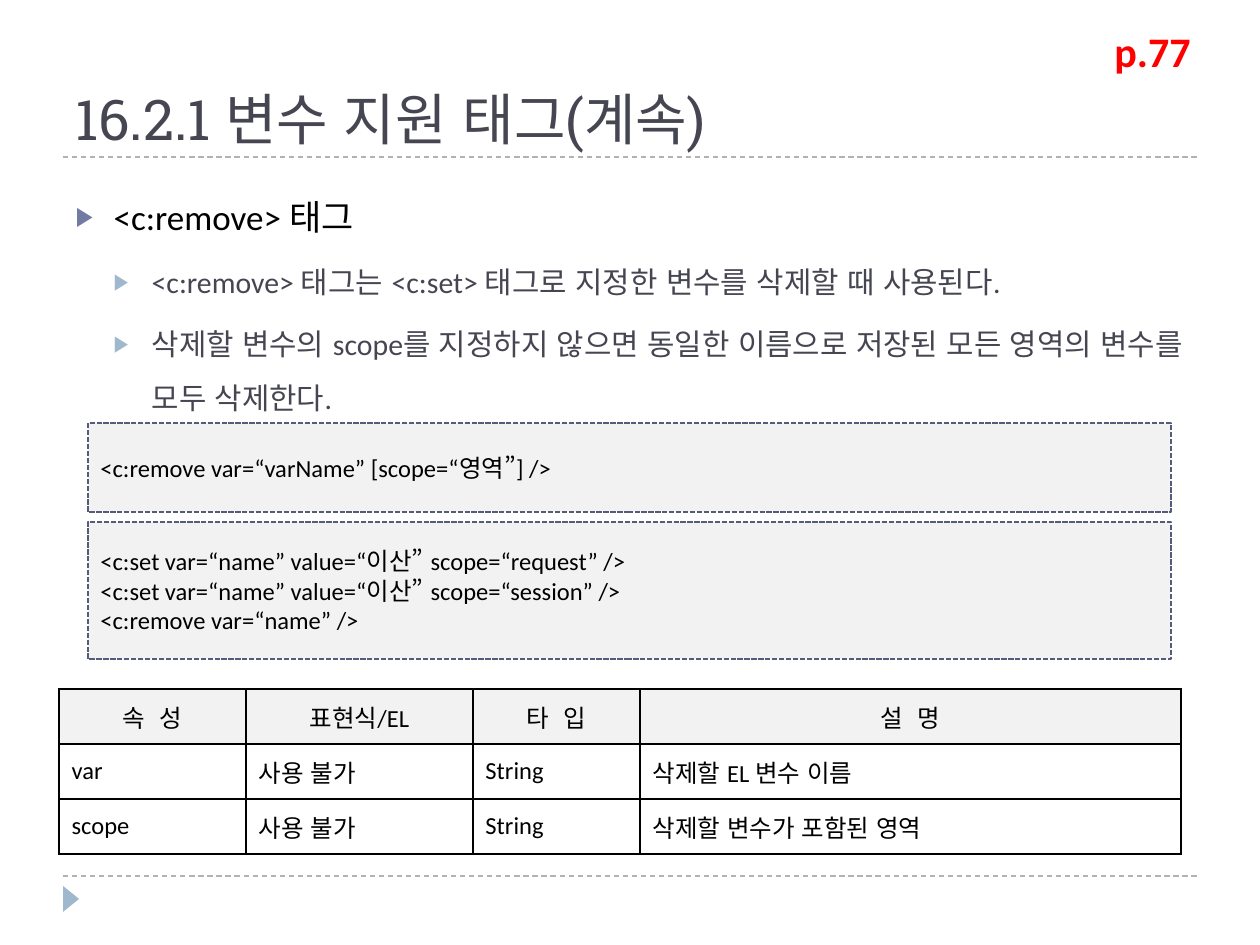
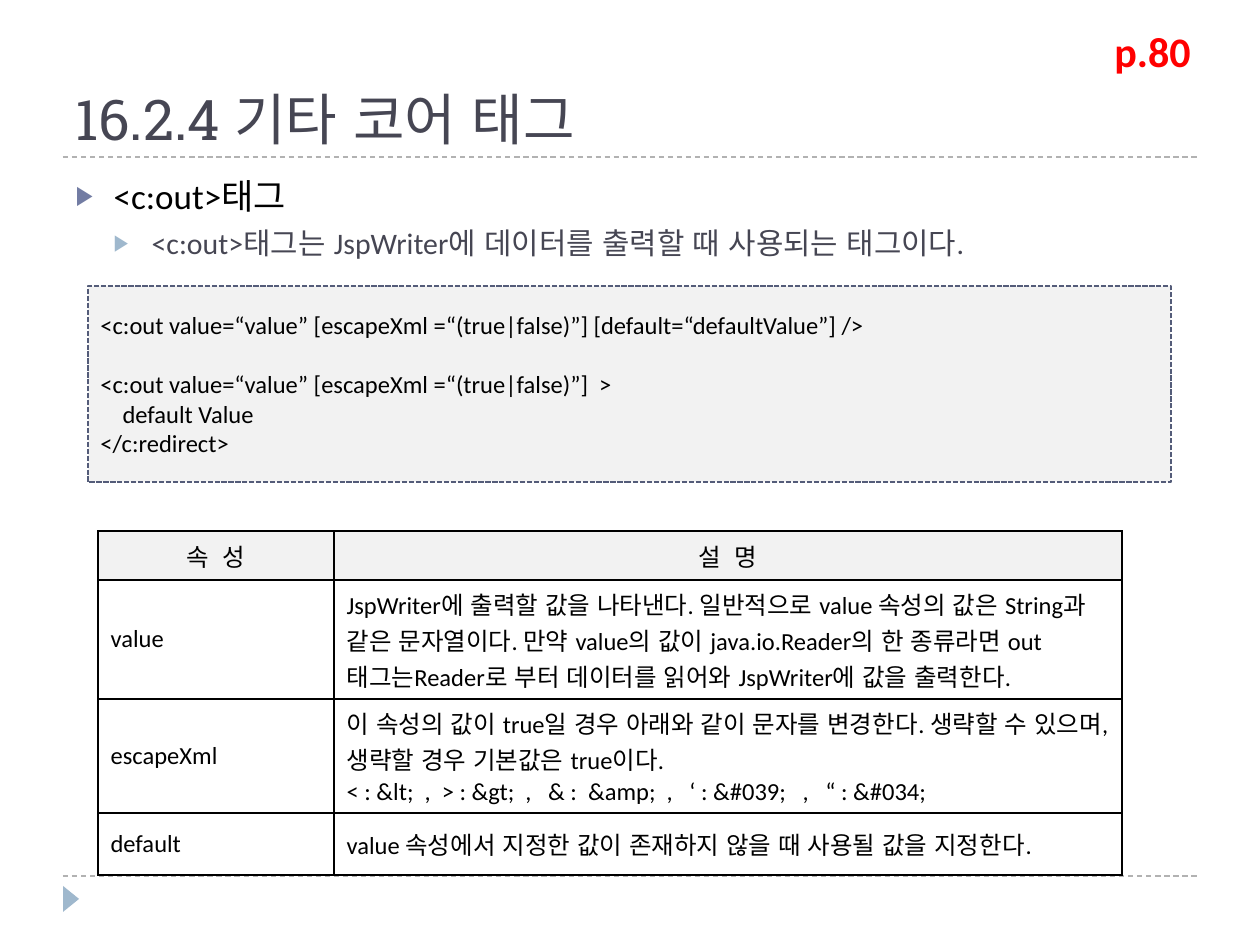
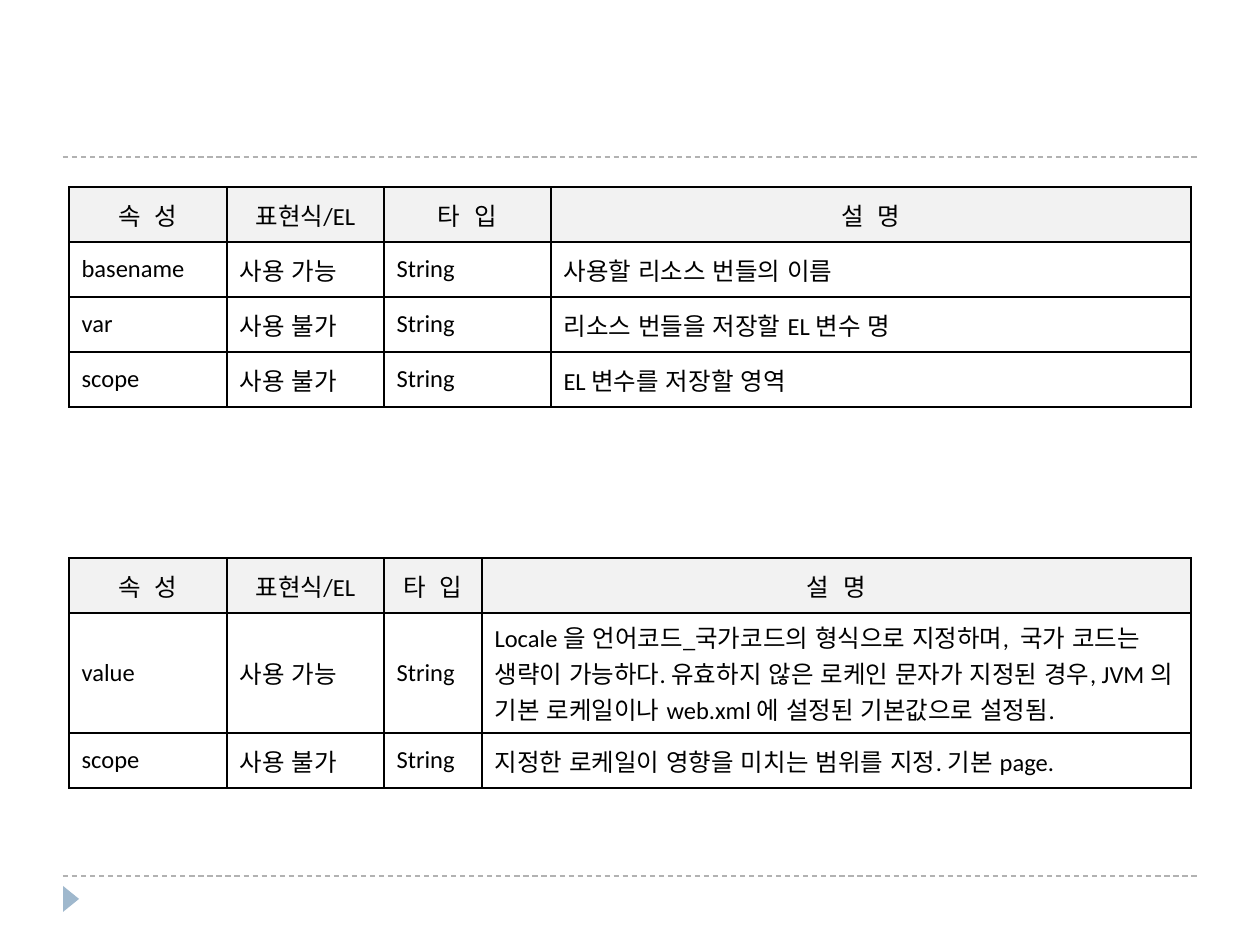
from dataclasses import dataclass

from lxml import etree
from pptx import Presentation
from pptx.dml.color import RGBColor
from pptx.enum.dml import MSO_LINE
from pptx.enum.lang import MSO_LANGUAGE_ID
from pptx.enum.shapes import MSO_CONNECTOR, MSO_SHAPE
from pptx.enum.text import MSO_ANCHOR, MSO_AUTO_SIZE, PP_ALIGN
from pptx.oxml.ns import qn
from pptx.util import Emu, Pt

LEFT, CENTER = PP_ALIGN.LEFT, PP_ALIGN.CENTER
MIDDLE, BOTTOM = MSO_ANCHOR.MIDDLE, MSO_ANCHOR.BOTTOM
DASH, SYS_DASH = MSO_LINE.DASH, MSO_LINE.SQUARE_DOT
RECT, TRIANGLE = MSO_SHAPE.RECTANGLE, MSO_SHAPE.ISOSCELES_TRIANGLE
STRAIGHT = MSO_CONNECTOR.STRAIGHT
NO_FIT, GROW = MSO_AUTO_SIZE.NONE, MSO_AUTO_SIZE.SHAPE_TO_FIT_TEXT
KOREAN = MSO_LANGUAGE_ID.KOREAN
CONTENT_LAYOUT, BLANK_LAYOUT = 1, 6
PX = 914400 // 126


@dataclass(frozen=True)
class Theme:
    font: str = "Calibri"
    title_font: str = "Roboto Slab"
    ink: str = "000000"
    muted: str = "464653"
    accent: str = "9FB8CD"
    rule: str = "B2B2B2"
    bullet: str = "727CA3"
    panel: str = "F2F2F2"
    panel_line: str = "545C79"
    page_ref: str = "FF0000"
    title_size: int = 32
    page_size: int = 24
    small_size: int = 14
    code_gap: int = 17
    bullet_percent: int = 76


T = Theme()
LEVELS = [
    dict(size=20, color=T.ink, before=6, bullet=T.bullet),
    dict(size=17, color=T.muted, before=5, bullet=T.accent),
]
TITLE_BOX = (63, 22, 1134, 136)
BODY_BOX = (63, 168, 1134, 680)
PAGE_BOX = (1102, 19, 108, 63)
MARKER_BOX = (58, 891, 26, 16)
RULE_X, RULES_Y = (63, 1197), (157, 876)
CODE_X, CODE_WIDTH = 88, 1083
ROW = 55

HEADER = ["속  성", "표현식/EL", "타  입", "설  명"]

SLIDES = [
    dict(
        title="16.2.1 변수 지원 태그(계속)",
        page="p.77",
        line_spacing=1.5,
        body=[
            (0, "<c:remove> 태그"),
            (1, "<c:remove> 태그는 <c:set> 태그로 지정한 변수를 삭제할 때 사용된다."),
            (1, "삭제할 변수의 scope를 지정하지 않으면 동일한 이름으로 저장된 모든 영역의 변수를 모두 삭제한다."),
        ],
        code=[
            (423, 89, [["<c:remove var=“varName” [scope=“영역”] />"]]),
            (522, 137, [[
                "<c:set var=“name” value=“이산” scope=“request” />",
                "<c:set var=“name” value=“이산” scope=“session” />",
                "<c:remove var=“name” />",
            ]]),
        ],
        tables=[dict(
            at=(59, 689), cols=[187, 227, 167, 541], rows=[ROW] * 3,
            cells=[
                HEADER,
                ["var", "사용 불가", "String", "삭제할 EL 변수 이름"],
                ["scope", "사용 불가", "String", "삭제할 변수가 포함된 영역"],
            ],
        )],
    ),
    dict(
        title="16.2.4 기타 코어 태그",
        page="p.80",
        line_spacing=1.0,
        body=[
            (0, "<c:out>태그"),
            (1, "<c:out>태그는 JspWriter에 데이터를 출력할 때 사용되는 태그이다."),
        ],
        code=[(286, 196, [
            ["<c:out value=“value” [escapeXml =“(true|false)”] [default=“defaultValue”] />"],
            [
                "<c:out value=“value” [escapeXml =“(true|false)”]  >",
                "    default Value",
                "</c:redirect>",
            ],
        ])],
        tables=[dict(
            at=(98, 531), cols=[236, 788], rows=[49, 119, 114, 62],
            cells=[
                [HEADER[0], HEADER[-1]],
                ["value",
                 "JspWriter에 출력할 값을 나타낸다. 일반적으로 value 속성의 값은 String과 같은 문자열이다. "
                 "만약 value의 값이 java.io.Reader의 한 종류라면 out 태그는Reader로 부터 데이터를 읽어와 "
                 "JspWriter에 값을 출력한다."],
                ["escapeXml",
                 "이 속성의 값이 true일 경우 아래와 같이 문자를 변경한다. 생략할 수 있으며, "
                 "생략할 경우 기본값은 true이다.\n"
                 "< : &lt;  ,  > : &gt;  ,   & :  &amp;  ,   ‘ : &#039;   ,   “ : &#034;"],
                ["default", "value 속성에서 지정한 값이 존재하지 않을 때 사용될 값을 지정한다."],
            ],
        )],
    ),
    dict(
        tables=[
            dict(
                at=(69, 187), cols=[158, 157, 167, 640], rows=[ROW] * 4,
                cells=[
                    HEADER,
                    ["basename", "사용 가능", "String", "사용할 리소스 번들의 이름"],
                    ["var", "사용 불가", "String", "리소스 번들을 저장할 EL 변수 명"],
                    ["scope", "사용 불가", "String", "EL 변수를 저장할 영역"],
                ],
            ),
            dict(
                at=(69, 558), cols=[158, 157, 98, 709], rows=[ROW, 120, ROW],
                cells=[
                    HEADER,
                    ["value", "사용 가능", "String",
                     "Locale 을 언어코드_국가코드의 형식으로 지정하며,  국가 코드는 생략이 가능하다. "
                     "유효하지 않은 로케인 문자가 지정된 경우, JVM 의 기본 로케일이나 web.xml 에 "
                     "설정된 기본값으로 설정됨."],
                    ["scope", "사용 불가", "String",
                     "지정한 로케일이 영향을 미치는 범위를 지정. 기본 page."],
                ],
            ),
        ],
    ),
]


def px(*values):
    return [Emu(v * PX) for v in values]


def rgb(color):
    return RGBColor.from_string(color)


def place(sp, box):
    sp.left, sp.top, sp.width, sp.height = px(*box)


def add_bullet(p, level, color):
    pPr = p._p.get_or_add_pPr()
    step = 38 * PX
    pPr.set("marL", str((level + 1) * step))
    pPr.set("indent", str(-step))
    clr = etree.SubElement(pPr, qn("a:buClr"))
    etree.SubElement(clr, qn("a:srgbClr"), val=color)
    etree.SubElement(pPr, qn("a:buSzPct"), val=str(T.bullet_percent * 1000))
    etree.SubElement(pPr, qn("a:buFont"), typeface=T.font)
    etree.SubElement(pPr, qn("a:buChar"), char="▶")


def write(tf, text, first=True, size=T.small_size, color=T.ink, font=T.font, bold=False,
          align=LEFT, before=0, spacing=1.0, level=0, bullet=None):
    p = tf.paragraphs[0] if first else tf.add_paragraph()
    p.level = level
    if bullet:
        add_bullet(p, level, bullet)
    p.alignment = align
    p.space_before = Pt(0 if first else before)
    p.line_spacing = spacing
    r = p.add_run()
    r.text = text
    r.font.name, r.font.size, r.font.bold = font, Pt(size), bold
    r.font.language_id = KOREAN
    r.font.color.rgb = rgb(color)


def set_line(line, color, width, dash):
    line.color.rgb = rgb(color)
    line.width = Pt(width)
    line.dash_style = dash


def draw_frame(s):
    for y in RULES_Y:
        x1, x2 = RULE_X
        rule = s.shapes.add_connector(STRAIGHT, *px(x1, y, x2, y))
        set_line(rule.line, T.rule, 0.75, DASH)
        etree.SubElement(rule._element.spPr, qn("a:effectLst"))
    marker = s.shapes.add_shape(TRIANGLE, *px(*MARKER_BOX))
    marker.rotation = 90
    marker.shadow.inherit = False
    marker.fill.solid()
    marker.fill.fore_color.rgb = rgb(T.accent)
    marker.line.fill.background()


def draw_title(s, text):
    sp = s.shapes.title
    place(sp, TITLE_BOX)
    tf = sp.text_frame
    tf.auto_size, tf.vertical_anchor = NO_FIT, BOTTOM
    write(tf, text, size=T.title_size, color=T.muted, font=T.title_font)


def draw_body(s, items, spacing):
    sp = s.placeholders[1]
    place(sp, BODY_BOX)
    tf = sp.text_frame
    tf.auto_size = NO_FIT
    for i, (level, text) in enumerate(items):
        write(tf, text, first=i == 0, level=level, spacing=spacing, **LEVELS[level])


def draw_page_ref(s, text):
    tf = s.shapes.add_textbox(*px(*PAGE_BOX)).text_frame
    tf.word_wrap, tf.auto_size = False, GROW
    write(tf, text, size=T.page_size, color=T.page_ref, bold=True)


def draw_code(s, top, height, blocks):
    sp = s.shapes.add_shape(RECT, *px(CODE_X, top, CODE_WIDTH, height))
    sp.shadow.inherit = False
    sp.fill.solid()
    sp.fill.fore_color.rgb = rgb(T.panel)
    set_line(sp.line, T.panel_line, 1, SYS_DASH)
    tf = sp.text_frame
    tf.word_wrap, tf.vertical_anchor = True, MIDDLE
    for b, block in enumerate(blocks):
        for i, line in enumerate(block):
            write(tf, line, first=b == i == 0, before=0 if i else T.code_gap)


def add_borders(cell):
    tcPr = cell._tc.get_or_add_tcPr()
    for side in ("lnL", "lnR", "lnT", "lnB"):
        ln = etree.SubElement(tcPr, qn(f"a:{side}"), w=str(Pt(1)))
        fill = etree.SubElement(ln, qn("a:solidFill"))
        etree.SubElement(fill, qn("a:srgbClr"), val=T.ink)


def draw_table(s, at, cols, rows, cells):
    size = (sum(cols), sum(rows))
    table = s.shapes.add_table(len(rows), len(cols), *px(*at, *size)).table
    table.first_row = table.horz_banding = False
    for col, width in zip(table.columns, px(*cols)):
        col.width = width
    for row, height in zip(table.rows, px(*rows)):
        row.height = height
    for r, texts in enumerate(cells):
        for c, text in enumerate(texts):
            cell = table.cell(r, c)
            cell.vertical_anchor = MIDDLE
            add_borders(cell)
            if r == 0:
                cell.fill.solid()
                cell.fill.fore_color.rgb = rgb(T.panel)
            else:
                cell.fill.background()
            for i, line in enumerate(text.split("\n")):
                write(cell.text_frame, line, first=i == 0, align=LEFT if r else CENTER)


def main():
    prs = Presentation()
    prs.slide_width, prs.slide_height = px(1260, 945)
    for content in SLIDES:
        has_title = "title" in content
        layout = prs.slide_layouts[CONTENT_LAYOUT if has_title else BLANK_LAYOUT]
        s = prs.slides.add_slide(layout)
        draw_frame(s)
        if has_title:
            draw_title(s, content["title"])
            draw_body(s, content["body"], content["line_spacing"])
            draw_page_ref(s, content["page"])
        for code in content.get("code", []):
            draw_code(s, *code)
        for table in content["tables"]:
            draw_table(s, **table)
    prs.save("out.pptx")


if __name__ == "__main__":
    main()
